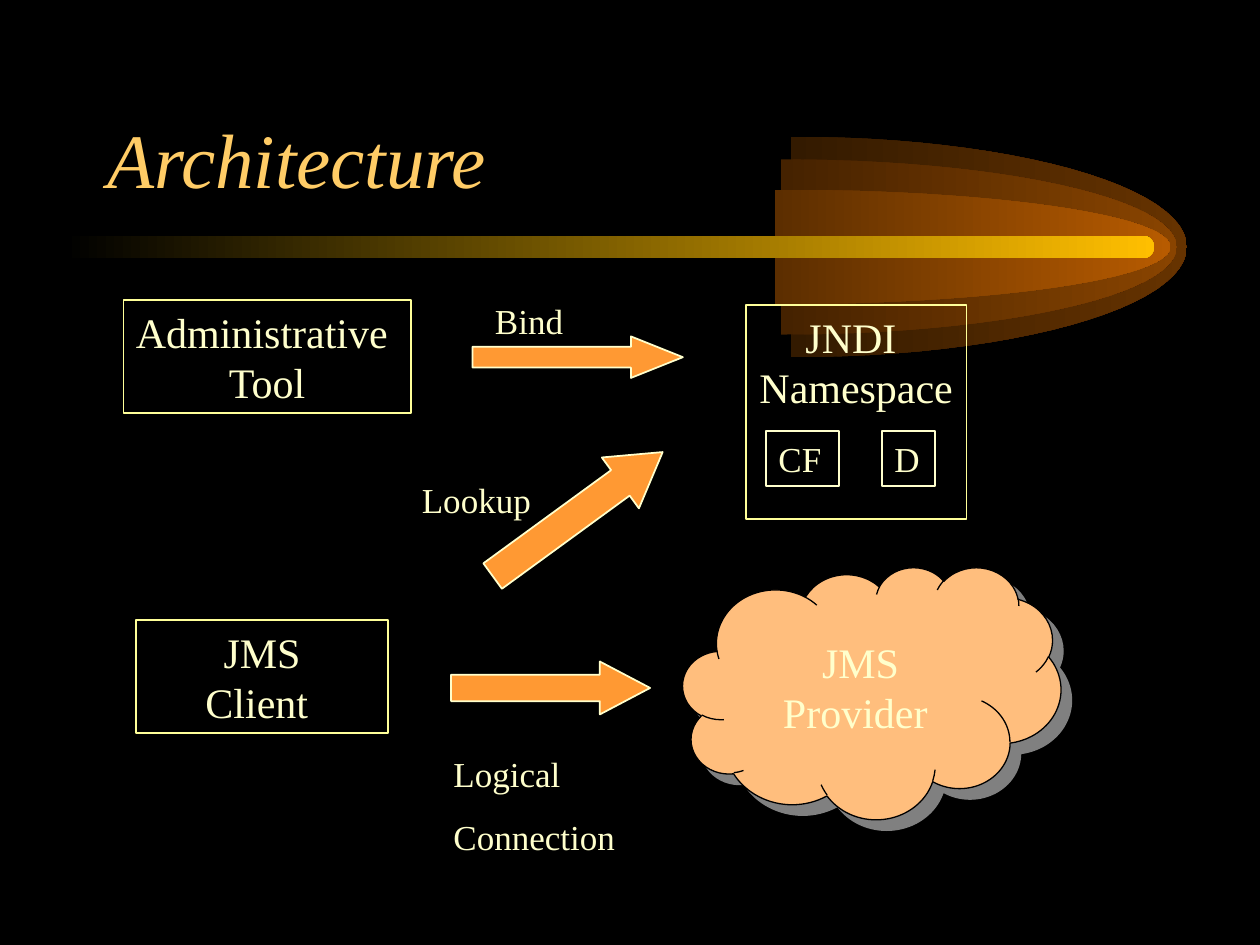
from dataclasses import dataclass
from math import cos, pi, sin

from lxml.etree import SubElement
from pptx import Presentation
from pptx.dml.color import RGBColor
from pptx.enum.shapes import MSO_SHAPE
from pptx.enum.text import MSO_ANCHOR, PP_ALIGN
from pptx.oxml.ns import qn
from pptx.util import Inches, Pt


@dataclass(frozen=True)
class Theme:
    face: str = "Times New Roman"
    back: str = "000000"
    title: str = "FFCC66"
    text: str = "FFFFCC"
    frame: str = "FFFF99"
    arrow: str = "FF9933"
    cloud: str = "FFBE7D"
    shade: str = "808080"
    bar: str = "FFBF00"
    head: int = 44
    large: int = 24
    small: int = 20
    gap: float = 12.5


THEME = Theme()


def rgb(code):
    return RGBColor.from_string(code)


def place(box):
    return [Inches(n) for n in box]


def paint(shape, color):
    shape.fill.solid()
    shape.fill.fore_color.rgb = rgb(color)


def edge(shape, color, width=1):
    shape.line.color.rgb = rgb(color)
    shape.line.width = Pt(width)


def fade(shape, left, right):
    """Left to right gradient without outline."""
    shape.shadow.inherit = False
    shape.line.fill.background()
    shape.fill.gradient()
    shape.fill.gradient_angle = 0
    for stop, color in zip(shape.fill.gradient_stops, (left, right)):
        stop.color.rgb = rgb(color)


def style(para, size, color, italic=False):
    for run in para.runs:
        font = run.font
        font.name = THEME.face
        font.size = Pt(size)
        font.italic = italic
        font.color.rgb = rgb(color)


def write(shape, text, size, align, gap=0, wrap=True):
    frame = shape.text_frame
    frame.text = text
    frame.word_wrap = wrap
    frame.vertical_anchor = MSO_ANCHOR.TOP
    for i, para in enumerate(frame.paragraphs):
        para.alignment = align
        if i and gap:
            para.space_before = Pt(gap)
        style(para, size, THEME.text)


def add_title(slide, text):
    title = slide.shapes.title
    title.left, title.top, title.width, title.height = place((0.75, 0.42, 8.5, 1.25))
    frame = title.text_frame
    frame.text = text
    frame.vertical_anchor = MSO_ANCHOR.BOTTOM
    para = frame.paragraphs[0]
    para.alignment = PP_ALIGN.LEFT
    style(para, THEME.head, THEME.title, italic=True)


def add_fin(slide, left, high, dark, light):
    """Right half of an ellipse centred on the bar."""
    wide, mid, steps = 3.14, 1.96, 48
    turns = [pi * i / steps - pi / 2 for i in range(steps + 1)]
    dots = [(Inches(left + wide * cos(t)), Inches(mid + high / 2 * sin(t)))
            for t in turns]
    path = slide.shapes.build_freeform(*dots[0])
    path.add_line_segments(dots[1:], close=True)
    fade(path.convert_to_shape(), dark, light)


def add_bar(slide):
    bar = slide.shapes.add_shape(MSO_SHAPE.ROUNDED_RECTANGLE,
                                 *place((0.5, 1.87, 8.66, 0.18)))
    bar.adjustments[0] = 0.5
    fade(bar, THEME.back, THEME.bar)


def add_box(slide, text, box, size, line, align=PP_ALIGN.CENTER, wrap=True):
    shape = slide.shapes.add_shape(MSO_SHAPE.RECTANGLE, *place(box))
    shape.shadow.inherit = False
    shape.fill.background()
    edge(shape, line)
    write(shape, text, size, align, wrap=wrap)


def add_label(slide, text, box, size, align=PP_ALIGN.LEFT, gap=0):
    write(slide.shapes.add_textbox(*place(box)), text, size, align, gap)


def add_arrow(slide, box, tip, turn=0):
    arrow = slide.shapes.add_shape(MSO_SHAPE.RIGHT_ARROW, *place(box))
    arrow.shadow.inherit = False
    arrow.adjustments[1] = tip
    arrow.rotation = turn
    paint(arrow, THEME.arrow)
    edge(arrow, THEME.text)


def add_cloud(slide, box):
    cloud = slide.shapes.add_shape(MSO_SHAPE.CLOUD, *place(box))
    paint(cloud, THEME.cloud)
    edge(cloud, THEME.back, 0.75)
    # Hard drop shadow to the lower right
    cloud.shadow.inherit = False
    effects = cloud.element.spPr.find(qn("a:effectLst"))
    drop = SubElement(effects, qn("a:outerShdw"), dist=str(Pt(8.5)),
                      dir=str(45 * 60000), algn="ctr", rotWithShape="0")
    SubElement(drop, qn("a:srgbClr"), val=THEME.shade)


def main():
    deck = Presentation()
    deck.slide_width, deck.slide_height = Inches(10), Inches(7.5)
    slide = deck.slides.add_slide(deck.slide_layouts[5])
    slide.background.fill.solid()
    slide.background.fill.fore_color.rgb = rgb(THEME.back)

    # Title and comet
    add_title(slide, "Architecture")
    add_fin(slide, 6.28, 1.75, "331A00", "663300")
    add_fin(slide, 6.2, 1.39, "452200", "894400")
    add_fin(slide, 6.15, 0.91, "5C2E00", "B75B00")
    add_bar(slide)

    # Parts of the system
    big, small = THEME.large, THEME.small
    add_box(slide, "Administrative \nTool", (0.98, 2.38, 2.28, 0.9), big,
            THEME.frame, wrap=False)
    add_box(slide, "JNDI \nNamespace", (5.92, 2.42, 1.75, 1.7), big, THEME.frame)
    add_box(slide, "JMS\nClient ", (1.08, 4.92, 2, 0.9), big, THEME.frame)
    add_cloud(slide, (5.42, 4.5, 3, 2))
    add_label(slide, "JMS\nProvider ", (5.83, 5, 2, 0.9), big, PP_ALIGN.CENTER)

    # Links between the parts
    add_arrow(slide, (3.75, 2.67, 1.67, 0.33), 1.25)
    add_arrow(slide, (3.75, 3.83, 1.67, 0.5), 0.83, turn=323.9)
    add_arrow(slide, (3.58, 5.25, 1.58, 0.42), 0.95)
    add_label(slide, "Bind", (3.83, 2.33, 0.92, 0.44), small)
    add_label(slide, "Lookup", (3.25, 3.75, 1.17, 0.44), small)
    add_label(slide, "Logical\nConnection", (3.5, 5.92, 1.58, 0.94), small,
              gap=THEME.gap)

    # Entries in the namespace
    for text, left, width in (("CF", 6.08, 0.58), ("D", 7, 0.42)):
        add_box(slide, text, (left, 3.42, width, 0.44), small, THEME.text,
                PP_ALIGN.LEFT)

    deck.save("out.pptx")


if __name__ == "__main__":
    main()
